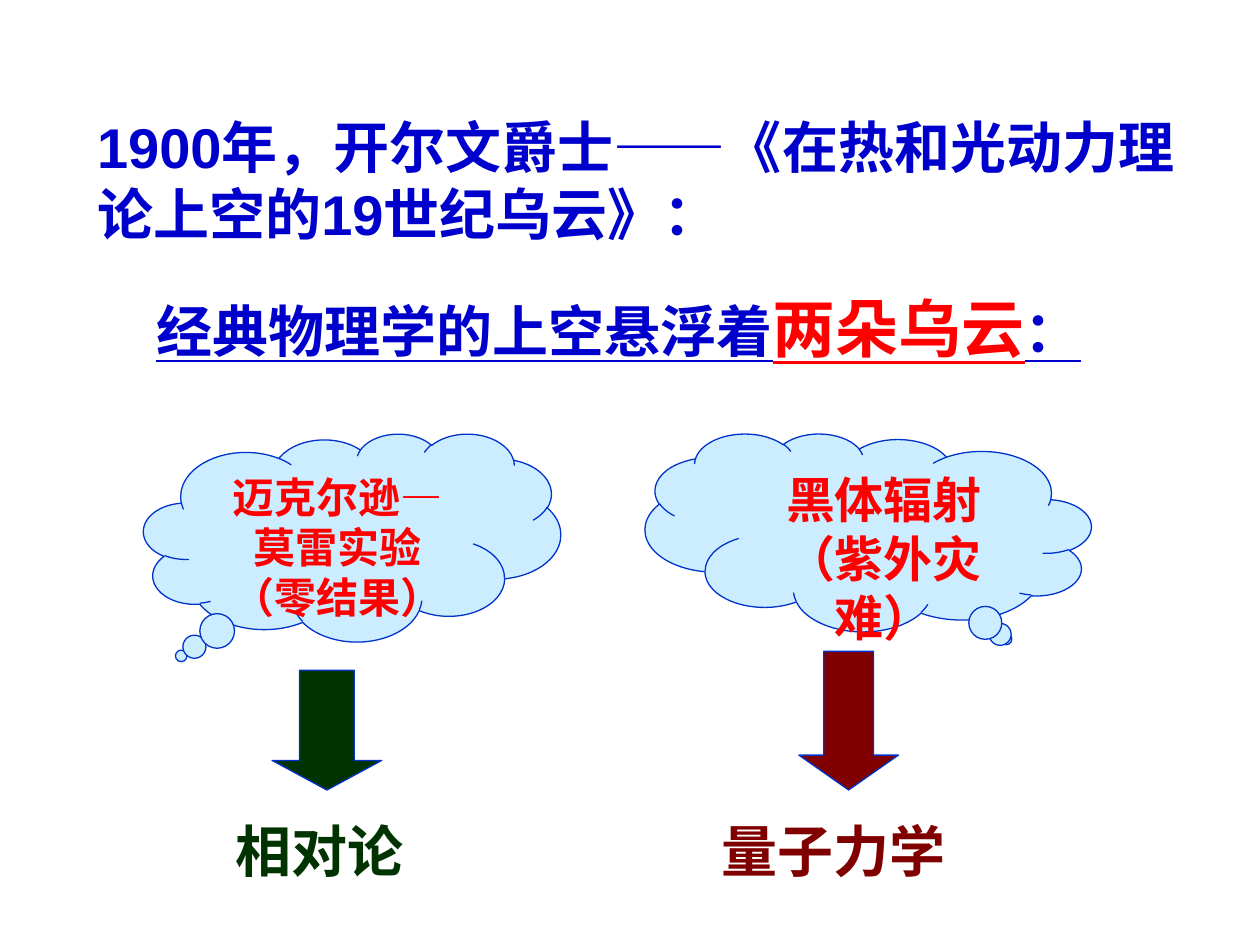
from dataclasses import dataclass

from pptx import Presentation, util as u
from pptx.dml.color import RGBColor
from pptx.enum import shapes, text
from pptx.oxml.ns import qn
from pptx.util import Inches


@dataclass(frozen=True)
class Theme:
    latin: str = "Arial"
    asian: str = "Noto Sans CJK SC"
    blue: str = "0000CC"
    red: str = "FF0000"
    edge: str = "0033CC"
    sky: str = "CCECFF"
    green: str = "003300"
    maroon: str = "800000"
    small: int = 24
    mid: int = 28
    body: int = 32
    large: int = 36


T = Theme()
KIND = shapes.MSO_SHAPE
ALIGN = text.PP_ALIGN
ANCHOR = text.MSO_ANCHOR


def add_run(para, words, size, color, **extra):
    run = para.add_run()
    run.text = words
    style = {"name": T.latin, "size": u.Pt(size), "bold": True, **extra}
    for key, value in style.items():
        setattr(run.font, key, value)
    run.font.color.rgb = RGBColor.from_string(color)
    asian = run.font._element.makeelement(qn("a:ea"), {"typeface": T.asian})
    run.font._element.find(qn("a:latin")).addnext(asian)


def fill_text(shape, paras, align=ALIGN.LEFT, anchor=ANCHOR.TOP):
    """Each paragraph is a list of (words, size, color, extra format)."""
    frame = shape.text_frame
    style = {"word_wrap": True, "vertical_anchor": anchor,
             "auto_size": text.MSO_AUTO_SIZE.NONE}
    for key, value in style.items():
        setattr(frame, key, value)
    for i, runs in enumerate(paras):
        para = frame.add_paragraph() if i else frame.paragraphs[0]
        para.alignment = align
        for words, size, color, extra in runs:
            add_run(para, words, size, color, **extra)


def add_title(slide, box, words):
    title = slide.shapes.title
    for key, value in zip(("left", "top", "width", "height"), box):
        setattr(title, key, Inches(value))
    fill_text(title, [[(words, T.body, T.blue, {})]])


def add_label(slide, box, runs):
    label = slide.shapes.add_textbox(*map(Inches, box))
    fill_text(label, [runs])


def add_form(slide, kind, box, fill, adjust):
    form = slide.shapes.add_shape(kind, *map(Inches, box))
    form.shadow.inherit = False
    form.fill.solid()
    form.fill.fore_color.rgb = RGBColor.from_string(fill)
    form.line.color.rgb = RGBColor.from_string(T.edge)
    form.line.width = u.Pt(0.75)
    for i, value in enumerate(adjust):
        form.adjustments[i] = value
    return form


def add_cloud(slide, box, tail, paras, flip=False):
    cloud = add_form(slide, KIND.CLOUD_CALLOUT, box, T.sky, tail)
    if flip:
        cloud._element.spPr.find(qn("a:xfrm")).set("flipH", "1")
    fill_text(cloud, paras, ALIGN.CENTER)


def add_result(slide, arrow, head, box, words, color):
    add_form(slide, KIND.DOWN_ARROW, arrow, color, (0.5, head))
    add_label(slide, box, [(words, T.body, color, {})])


def main():
    deck = Presentation()
    deck.slide_width, deck.slide_height = Inches(10), Inches(7.5)
    slide = deck.slides.add_slide(deck.slide_layouts[5])

    # Heading and statement
    add_title(slide, (0.67, 0.84, 8.9, 1.17),
              "1900年，开尔文爵士——《在热和光动力理论上空的19世纪乌云》：")
    line = {"underline": True}
    add_label(slide, (1.14, 2.25, 8.11, 0.7), [
        ("经典物理学的上空悬浮着", T.body, T.blue, line),
        ("两朵乌云", T.large, T.red, line),
        ("：", T.body, T.blue, line)])

    # The two clouds
    add_cloud(slide, (1.14, 3.44, 3.31, 1.65), (-0.41, 0.57), [[
        ("迈克尔逊", T.small, T.red, {}),
        ("—", T.small, T.red, {"name": T.asian}),
        ("莫雷实验（零结果）", T.small, T.red, {})]])
    add_cloud(slide, (5.12, 3.44, 3.54, 1.57), (-0.31, 0.54), [
        [(words, T.mid, T.red, {})] for words in ("黑体辐射", "（紫外灾难）")],
        flip=True)

    # The theories they led to
    add_result(slide, (2.16, 5.32, 0.87, 0.95), 0.27,
               (1.77, 6.43, 1.73, 0.64), "相对论", T.green)
    add_result(slide, (6.34, 5.17, 0.79, 1.1), 0.35,
               (5.63, 6.43, 2.13, 0.64), "量子力学", T.maroon)

    deck.save("out.pptx")


if __name__ == "__main__":
    main()
